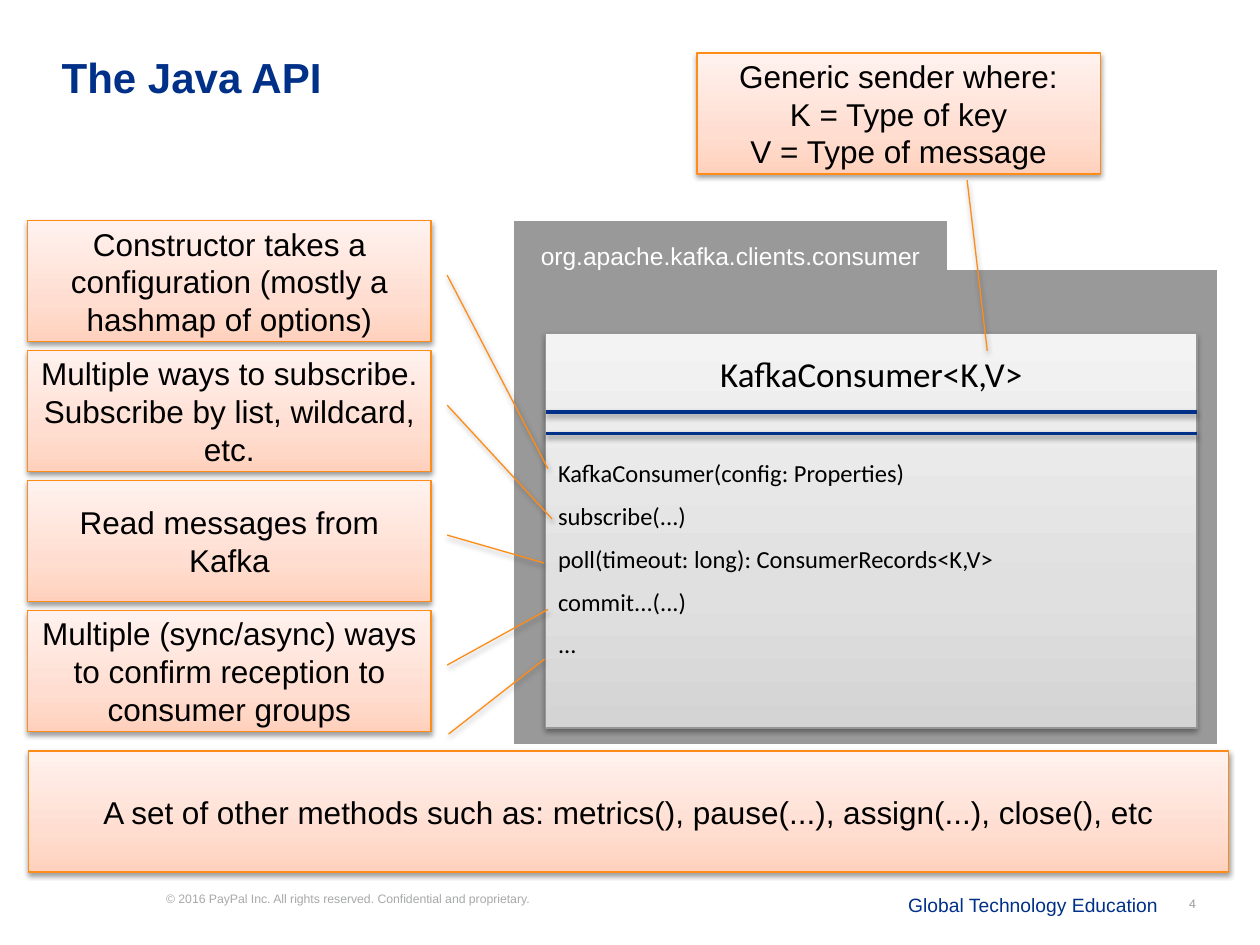
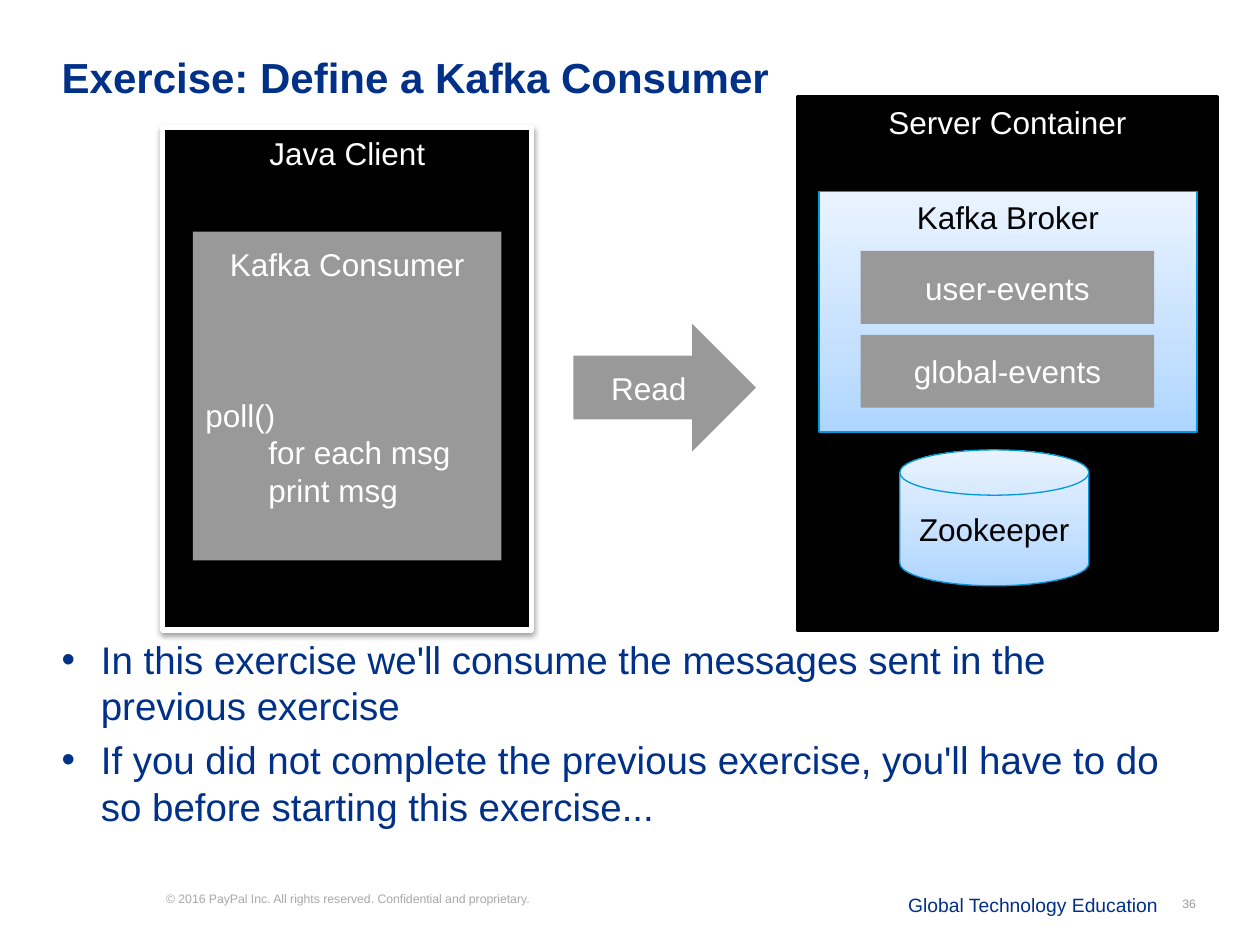
from lxml import etree
from pptx import Presentation
from pptx.dml.color import RGBColor
from pptx.enum.shapes import MSO_CONNECTOR, MSO_SHAPE as Preset
from pptx.enum.text import MSO_ANCHOR as Anchor, MSO_AUTO_SIZE as AutoSize, PP_ALIGN as Align
from pptx.oxml import parse_xml
from pptx.oxml.ns import nsdecls, qn
from pptx.util import Cm, Pt

COLORS = {
    "navy": "003087", "gray": "99999A", "pale": "A7A8A9", "black": "000000",
    "white": "FFFFFF", "orange": "FF8C16", "sky": "0099D9", "steel": "969697",
}
# Gradient stops from bottom to top: (percent, colour)
GRADIENTS = {
    "peach": [(0, "FFD1BD"), (35, "FFDED1"), (100, "FFF2EE")],
    "silver": [(0, "D4D4D5"), (35, "E0E0E1"), (100, "F3F3F3")],
    "ice": [(0, "ADD5FF"), (35, "C5E0FF"), (100, "E9F3FF")],
}

# Boxes are (left, top, width, height) in cm.
TITLE_BOX = (0.99, 0.91, 22.86, 1.65)
COPYRIGHT = "© 2016 PayPal Inc. All rights reserved. Confidential and proprietary."
COPYRIGHT_BOX = (3.35, 17.96, 10.06, 0.61)
DEPARTMENT = "Global Technology Education"
DEPARTMENT_BOX = (18.06, 17.7, 5.64, 0.84)
NUMBER_BOX = (23.42, 17.7, 0.94, 1.02)

API = {
    "title": "The Java API",
    "number": "4",
    "package": "org.apache.kafka.clients.consumer",
    "class": "KafkaConsumer<K,V>",
    "methods": [
        "KafkaConsumer(config: Properties)",
        "subscribe(...)",
        "poll(timeout: long): ConsumerRecords<K,V>",
        "commit...(...)",
        "...",
    ],
}
# Text and the end of the leader (y, x), as shares of the callout's size
METHOD_NOTES = [
    ("Constructor takes a configuration (mostly a hashmap of options)", (2.05, 1.29)),
    ("Multiple ways to subscribe. Subscribe by list, wildcard, etc.", (1.39, 1.3)),
    ("Read messages from Kafka", (0.68, 1.28)),
    ("Multiple (sync/async) ways to confirm reception to consumer groups", (-0.01, 1.29)),
]
GENERIC_NOTE = ["Generic sender where:", "K = Type of key", "V = Type of message"]
OTHER_NOTE = ["A set of other methods such as: metrics(), pause(...), assign(...), close(), etc"]
NOTE_LEFT, NOTE_TOP, NOTE_PITCH = 0.56, 4.45, 2.62
NOTE_WIDTH, NOTE_HEIGHT = 8.13, 2.44
CARD_LEFT, CARD_TOP, CARD_WIDTH, CARD_HEIGHT = 11, 6.73, 13.13, 7.95

EXERCISE = {
    "title": "Exercise: Define a Kafka Consumer",
    "number": "36",
    "topics": ["user-events", "global-events"],
    "consumer": ["Kafka Consumer", "poll()", "for each msg", "print msg"],
    "steps": [
        "In this exercise we'll consume the messages sent in the previous exercise",
        "If you did not complete the previous exercise, you'll have to do so before "
        "starting this exercise...",
    ],
}


def rgb(color):
    return RGBColor.from_string(COLORS[color])


def place(part, box):
    part.left, part.top, part.width, part.height = map(Cm, box)


def write(part, lines, size, color="black", align=Align.LEFT, anchor=Anchor.TOP,
          font="Arial", bold=False, spacing=None, before=0):
    """Fill a shape with one paragraph per line; `before` parts the later ones."""
    frame = part.text_frame
    frame.word_wrap = True
    frame.auto_size = AutoSize.NONE
    frame.vertical_anchor = anchor
    for i, line in enumerate(lines):
        paragraph = frame.add_paragraph() if i else frame.paragraphs[0]
        paragraph.alignment = align
        paragraph.space_before = Pt(before if i else 0)
        if spacing:
            paragraph.line_spacing = spacing
        run = paragraph.add_run()
        run.text = line
        run.font.name, run.font.size, run.font.bold = font, Pt(size), bold
        run.font.color.rgb = rgb(color)
    return frame


def indent(paragraph, left, first=0):
    properties = paragraph._p.get_or_add_pPr()
    properties.set("marL", str(Cm(left)))
    properties.set("indent", str(Cm(first)))


def add_text(slide, box, lines, size, **style):
    return write(slide.shapes.add_textbox(*map(Cm, box)), lines, size, **style)


def cast_shadow(part):
    """Add the soft shadow below a shape or connector whose line is already set."""
    properties = part._element.spPr
    effects = properties.find(qn("a:effectLst"))
    if effects is None:
        effects = etree.SubElement(properties, qn("a:effectLst"))
    effects.append(parse_xml(
        f'<a:outerShdw {nsdecls("a")} blurRad="{Pt(3.1)}" dist="{Pt(1.6)}" dir="5400000" '
        'rotWithShape="0"><a:srgbClr val="000000"><a:alpha val="38000"/></a:srgbClr>'
        '</a:outerShdw>'))


def fill_gradient(shape, stops):
    shape.fill.gradient()
    stop_list = shape._element.spPr.find(qn("a:gradFill")).find(qn("a:gsLst"))
    for stop in list(stop_list):
        stop_list.remove(stop)
    for percent, color in stops:
        stop = etree.SubElement(stop_list, qn("a:gs"), pos=str(percent * 1000))
        etree.SubElement(stop, qn("a:srgbClr"), val=color)
    shape.fill.gradient_angle = 90


def add_box(slide, preset, box, fill, line=None, width=0.75, shadow=False):
    shape = slide.shapes.add_shape(preset, *map(Cm, box))
    shape.shadow.inherit = False
    if fill in GRADIENTS:
        fill_gradient(shape, GRADIENTS[fill])
    else:
        shape.fill.solid()
        shape.fill.fore_color.rgb = rgb(fill)
    if line:
        shape.line.color.rgb = rgb(line)
        shape.line.width = Pt(width)
    else:
        shape.line.fill.background()
    if shadow:
        cast_shadow(shape)
    return shape


def label(shape, text, color="white", size=18, anchor=Anchor.MIDDLE):
    write(shape, [text], size, color, Align.CENTER, anchor)


def add_note(slide, box, lines, leader):
    note = add_box(slide, Preset.LINE_CALLOUT_1, box, "peach", "orange", shadow=True)
    for i, share in enumerate(leader):
        note.adjustments[i] = share
    write(note, lines, 18, align=Align.CENTER, anchor=Anchor.MIDDLE)


def add_slide(deck, layout, content):
    """Start a slide with its title, footer and number."""
    slide = deck.slides.add_slide(deck.slide_layouts[layout])
    place(slide.shapes.title, TITLE_BOX)
    write(slide.shapes.title, [content["title"]], 24, "navy", bold=True)
    legal = add_text(slide, COPYRIGHT_BOX, [COPYRIGHT], 7, color="pale")
    legal.margin_left = legal.margin_right = legal.margin_top = legal.margin_bottom = 0
    department = add_text(slide, DEPARTMENT_BOX, [DEPARTMENT], 11, color="navy", spacing=1.4)
    department.word_wrap = False
    add_text(slide, NUMBER_BOX, [content["number"]], 7, color="gray",
             align=Align.RIGHT, anchor=Anchor.MIDDLE)
    return slide


def build_api(deck):
    slide = add_slide(deck, 5, API)
    add_box(slide, Preset.FLOWCHART_PROCESS, (10.36, 5.44, 14.17, 9.55), "gray")
    package = add_box(slide, Preset.FLOWCHART_PROCESS, (10.36, 4.45, 8.74, 1.42), "gray")
    label(package, API["package"], size=14)

    add_box(slide, Preset.RECTANGLE, (CARD_LEFT, CARD_TOP, CARD_WIDTH, CARD_HEIGHT),
            "silver", "steel", shadow=True)
    add_text(slide, (CARD_LEFT, CARD_TOP, CARD_WIDTH, 1.37), [API["class"]], 20,
             align=Align.CENTER, font="Calibri", spacing=1.3)
    add_text(slide, (CARD_LEFT, 8.94, CARD_WIDTH, 4.62), API["methods"], 14,
             font="Calibri", spacing=1.3, before=2.6)
    for y in (8.31, 8.74):
        divider = slide.shapes.add_connector(
            MSO_CONNECTOR.STRAIGHT, Cm(CARD_LEFT), Cm(y), Cm(CARD_LEFT + CARD_WIDTH), Cm(y))
        divider.line.color.rgb = rgb("navy")
        divider.line.width = Pt(2)
        cast_shadow(divider)

    for i, (text, leader_end) in enumerate(METHOD_NOTES):
        box = (NOTE_LEFT, NOTE_TOP + i * NOTE_PITCH, NOTE_WIDTH, NOTE_HEIGHT)
        add_note(slide, box, [text], (0.45, 1.04, *leader_end))
    add_note(slide, (14.05, 1.07, NOTE_WIDTH, NOTE_HEIGHT), GENERIC_NOTE,
             (1.05, 0.67, 2.46, 0.72))
    add_note(slide, (0.58, 15.14, 24.18, NOTE_HEIGHT), OTHER_NOTE,
             (-0.14, 0.35, -0.76, 0.43))


def build_exercise(deck):
    slide = add_slide(deck, 1, EXERCISE)
    steps = slide.placeholders[1]
    place(steps, (0.99, 12.7, 22.86, 4.72))
    for paragraph in write(steps, EXERCISE["steps"], 22, "navy", before=4.4).paragraphs:
        indent(paragraph, 0.79, -0.79)

    host = add_box(slide, Preset.RECTANGLE, (16.08, 1.96, 8.46, 10.74), "black", "black", 2)
    label(host, "Server Container", anchor=Anchor.TOP)
    zookeeper = add_box(slide, Preset.FLOWCHART_MAGNETIC_DISK, (18.14, 9.07, 3.81, 2.74),
                        "ice", "sky", shadow=True)
    label(zookeeper, "Zookeeper", "black")
    broker = add_box(slide, Preset.RECTANGLE, (16.51, 3.86, 7.62, 4.85),
                     "ice", "sky", shadow=True)
    label(broker, "Kafka Broker", "black", anchor=Anchor.TOP)
    for i, name in enumerate(EXERCISE["topics"]):
        topic = add_box(slide, Preset.RECTANGLE, (17.35, 5.06 + i * 1.69, 5.92, 1.47), "gray")
        label(topic, name)

    client = add_box(slide, Preset.RECTANGLE, (3.28, 2.57, 7.44, 10.13),
                     "black", "white", 3, shadow=True)
    label(client, "Java Client", anchor=Anchor.TOP)
    consumer = add_box(slide, Preset.RECTANGLE, (3.89, 4.67, 6.22, 6.63), "gray")
    frame = write(consumer, EXERCISE["consumer"], 18, "white")
    frame.margin_top = Cm(0.27)
    heading, poll, *loop = frame.paragraphs
    heading.alignment = Align.CENTER
    poll.space_before = Pt(64.5)
    for step in loop:
        indent(step, 1.27)

    read = add_box(slide, Preset.RIGHT_ARROW, (11.56, 6.53, 3.68, 2.57), "gray")
    label(read, "Read")


def main():
    deck = Presentation()
    deck.slide_width, deck.slide_height = Cm(25.4), Cm(19.05)
    build_api(deck)
    build_exercise(deck)
    deck.save("out.pptx")


if __name__ == "__main__":
    main()
